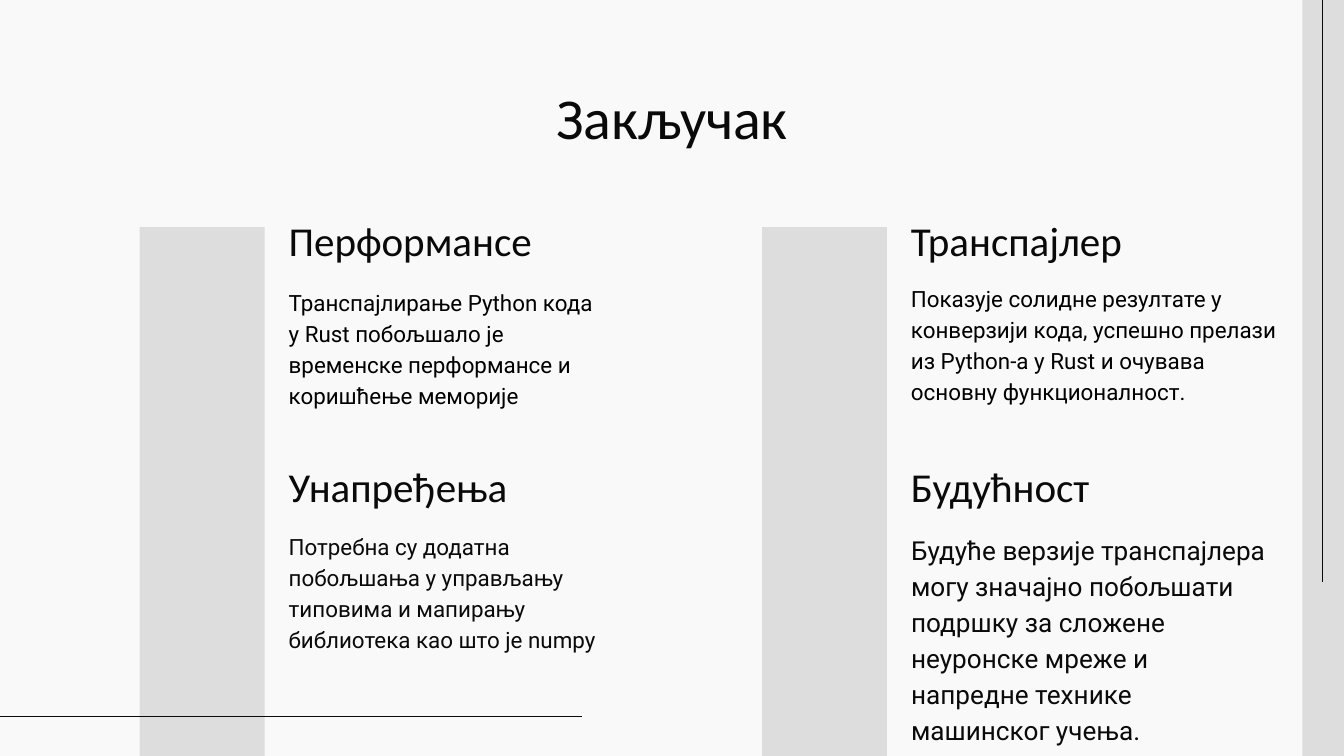
from pptx import Presentation
from pptx.dml.color import RGBColor
from pptx.enum.shapes import MSO_CONNECTOR, MSO_SHAPE
from pptx.enum.text import MSO_ANCHOR, PP_ALIGN
from pptx.oxml.ns import qn
from pptx.util import Inches, Pt
from lxml.etree import SubElement

PAPER = RGBColor(0xF9, 0xF9, 0xF9)
GREY = RGBColor(0xDD, 0xDD, 0xDD)
INK = RGBColor(0x0A, 0x0A, 0x0A)
BLACK = RGBColor(0, 0, 0)

WIDE = 10
HIGH = WIDE * 9 / 16
# Grid: two columns of a bar and text, two rows of head and body
LEFT, COL_STEP = 1.04, 4.63
TOP, ROW_STEP = 1.5, 1.83
BAR_TOP, BAR_WIDE = 1.69, 0.93
TEXT_GAP, TEXT_WIDE = 1.01, 2.54
HEAD_HIGH, BODY_HIGH = 0.57, 0.98

# Column, row, head, body, and the body's format
CARDS = [
    (0, 0, "Перформансе",
     "Транспајлирање Python кода у Rust побољшало је временске "
     "перформансе и коришћење меморије",
     dict(drop=0.52, color=BLACK)),
    (0, 1, "Унапређења",
     "Потребна су додатна побољшања у управљању типовима и мапирању "
     "библиотека као што је numpy", {}),
    (1, 0, "Транспајлер",
     "Показује солидне резултате у конверзији кода, успешно прелази "
     "из Python-а у Rust и очувава основну функционалност.",
     dict(drop=0.49, wide=2.93, color=BLACK)),
    (1, 1, "Будућност",
     "Будуће верзије транспајлера могу значајно побољшати подршку за "
     "сложене неуронске мреже и напредне технике машинског учења.",
     dict(wide=2.85, size=14)),
]


def add_bar(slide, x, y, wide, high):
    bar = slide.shapes.add_shape(
        MSO_SHAPE.RECTANGLE, *map(Inches, (x, y, wide, high)))
    bar.shadow.inherit = False
    bar.fill.solid()
    bar.fill.fore_color.rgb = GREY
    bar.line.fill.background()


def add_line(slide, *ends):
    line = slide.shapes.add_connector(
        MSO_CONNECTOR.STRAIGHT, *map(Inches, ends))
    line.line.color.rgb = INK
    line.line.width = Pt(0.75)
    SubElement(line._element.spPr, qn("a:effectLst"))


def add_text(slide, text, x, y, wide, high, *, size=12, font="Roboto",
             color=INK, align=PP_ALIGN.LEFT, anchor=MSO_ANCHOR.TOP, space=1.0):
    box = slide.shapes.add_textbox(*map(Inches, (x, y, wide, high)))
    frame = box.text_frame
    frame.word_wrap = True
    frame.vertical_anchor = anchor
    frame.margin_left = frame.margin_right = Inches(0.1)
    frame.margin_top = frame.margin_bottom = Inches(0.1)
    par = frame.paragraphs[0]
    par.alignment = align
    par.line_spacing = space
    run = par.add_run()
    run.text = text
    run.font.size = Pt(size)
    run.font.name = font
    run.font.color.rgb = color


def add_card(slide, col, row, head, body, drop=0.51, wide=TEXT_WIDE, **form):
    x = LEFT + col * COL_STEP + TEXT_GAP
    y = TOP + row * ROW_STEP
    add_text(slide, body, x, y + drop, wide, BODY_HIGH, space=1.15, **form)
    add_text(slide, head, x, y, TEXT_WIDE, HEAD_HIGH,
             size=22, font="Calibri", anchor=MSO_ANCHOR.BOTTOM)


def main():
    deck = Presentation()
    deck.slide_width, deck.slide_height = Inches(WIDE), Inches(HIGH)
    slide = deck.slides.add_slide(deck.slide_layouts[6])
    slide.background.fill.solid()
    slide.background.fill.fore_color.rgb = PAPER

    # Right edge
    add_bar(slide, 9.69, 0, 0.31, HIGH)
    add_line(slide, 9.84, 4.33, 9.84, 0)

    # Column bars and the line across the foot
    for col in range(2):
        add_bar(slide, LEFT + col * COL_STEP, BAR_TOP,
                BAR_WIDE, HIGH - BAR_TOP)
    add_line(slide, 4.33, 5.33, 0, 5.33)

    # Title and cards
    add_text(slide, "Закључак", 0.78, 0.51, 8.44, 0.6,
             size=31, font="Calibri", align=PP_ALIGN.CENTER)
    for col, row, head, body, form in CARDS:
        add_card(slide, col, row, head, body, **form)

    deck.save("out.pptx")


if __name__ == "__main__":
    main()
